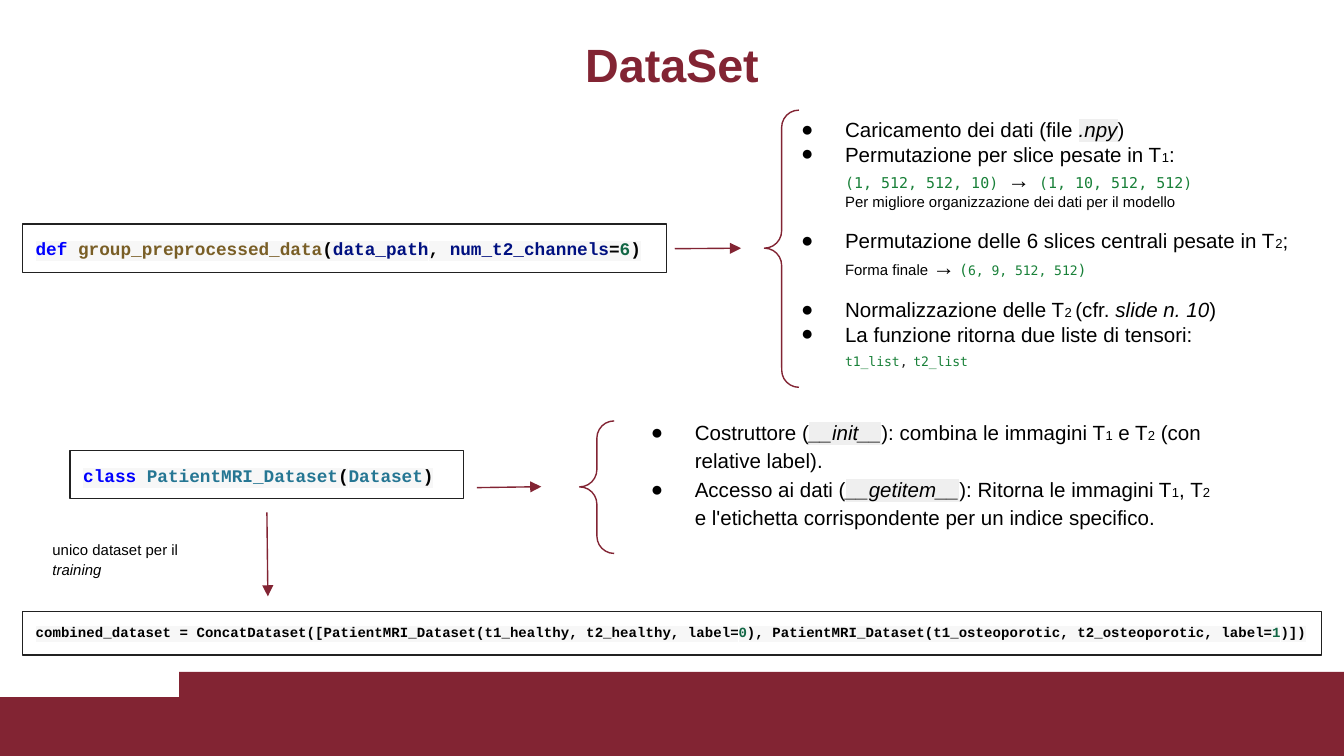
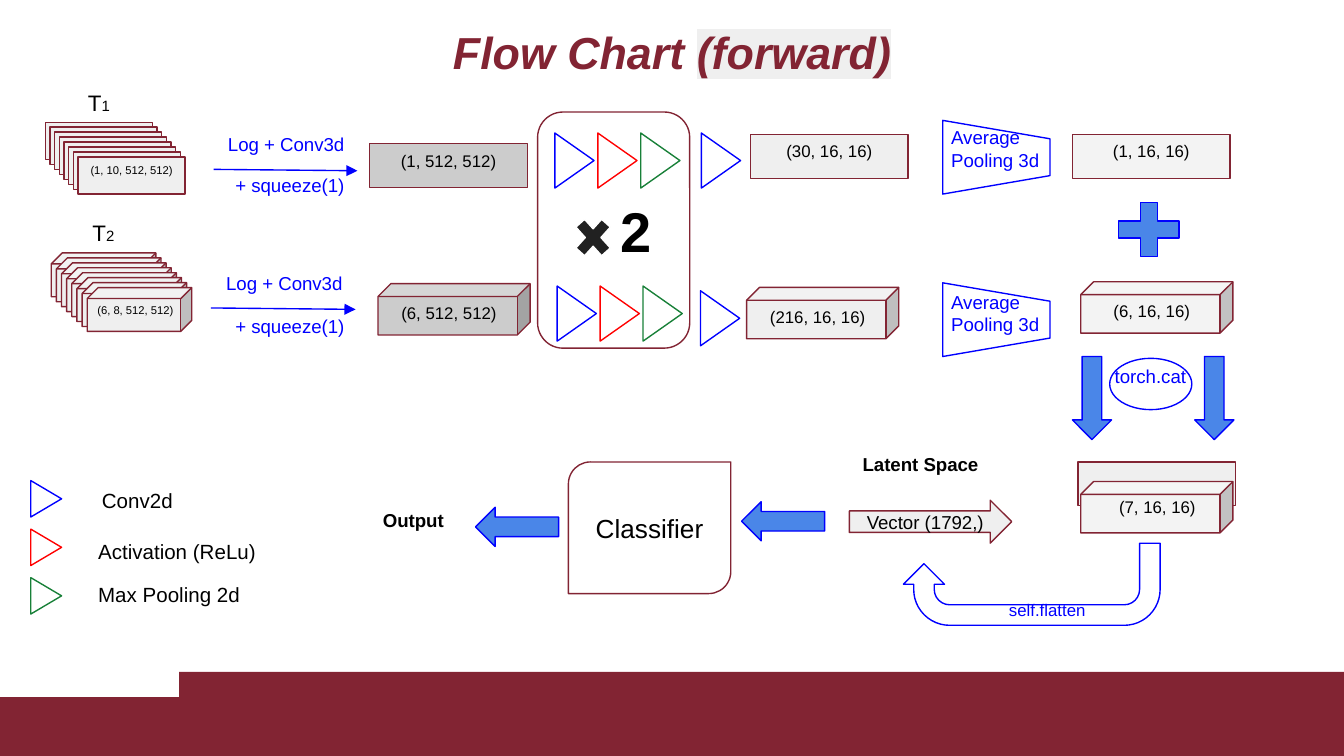
"""Build two slides on a data set and its flow chart."""
import dataclasses

import lxml.etree
import pptx
import pptx.dml.color
import pptx.enum.shapes
import pptx.enum.text
import pptx.oxml.ns
import pptx.util

Pt = pptx.util.Pt
qn = pptx.oxml.ns.qn
Kind = pptx.enum.shapes.MSO_SHAPE
Align = pptx.enum.text.PP_ALIGN
Anchor = pptx.enum.text.MSO_ANCHOR


@dataclasses.dataclass(frozen=True)
class Theme:
    wine: str = "822433"
    ink: str = "212121"
    black: str = "000000"
    white: str = "FFFFFF"
    blue: str = "0000FF"
    red: str = "FF0000"
    green: str = "188038"
    sky: str = "4A86E8"
    grey: str = "CCCCCC"
    light: str = "EFEFEF"
    pale: str = "F3F3F3"
    paper: str = "F7F7F7"
    brown: str = "795E26"
    navy: str = "001080"
    teal: str = "257693"
    number: str = "116644"
    sans: str = "Arial"
    fixed: str = "Courier New"
    mono: str = "DejaVu Sans Mono"
    tiny: float = 6
    sub: float = 7
    line: float = 7.5
    small: float = 8
    mid: float = 9
    call: float = 9.5
    label: float = 10
    body: float = 11
    large: float = 12
    block: float = 14
    head: float = 24
    title: float = 25
    huge: float = 30
    stroke: float = 0.75


T = Theme()


class Deck:
    def __init__(self):
        self.show = pptx.Presentation()
        self.show.slide_width, self.show.slide_height = Pt(720), Pt(405)
        self.slide = None

    def page(self, layout):
        self.slide = self.show.slides.add_slide(self.show.slide_layouts[layout])

    def bands(self, *boxes):
        tree = self.show.slide_master.shapes.element
        for n, box in enumerate(boxes):
            band = self.shape(Kind.RECTANGLE, box, T.wine, None)
            band.element.nvSpPr.cNvPr.set("id", str(100 + n))
            tree.insert(2 + n, band.element)

    def place(self, item, box):
        item.left, item.top, item.width, item.height = map(Pt, box)

    def frame(self, item, anchor=Anchor.TOP):
        frame = item.text_frame
        frame.word_wrap = True
        frame.auto_size = pptx.enum.text.MSO_AUTO_SIZE.NONE
        frame.vertical_anchor = anchor
        return frame

    def style(self, run, size=T.body, ink=T.black, face=T.sans, bold=False,
              slant=False, mark=None):
        font = run.font
        font.size, font.name = Pt(size), face
        font.bold, font.italic = bold, slant
        font.color.rgb = pptx.dml.color.RGBColor.from_string(ink)
        if mark:
            glow = lxml.etree.Element(qn("a:highlight"))
            lxml.etree.SubElement(glow, qn("a:srgbClr"), val=mark)
            run._r.get_or_add_rPr().find(qn("a:solidFill")).addnext(glow)

    def words(self, para, parts, align=Align.LEFT, space=1, **base):
        para.alignment, para.line_spacing = align, space
        para.space_before = para.space_after = Pt(0)
        parts = [parts] if isinstance(parts, str) else parts
        parts = [(p, {}) if isinstance(p, str) else p for p in parts]
        para.text = parts[0][0]
        for piece, _ in parts[1:]:
            para.add_run().text = piece
        for run, (_, look) in zip(para.runs, parts):
            self.style(run, **{**base, **look})

    def title(self, parts, box, **look):
        item = self.slide.shapes.title
        self.place(item, box)
        para = self.frame(item, Anchor.MIDDLE).paragraphs[0]
        self.words(para, parts, Align.CENTER, ink=T.wine, bold=True, **look)

    def list(self, slot, box, items, space=1):
        item = self.slide.placeholders[slot]
        self.place(item, box)
        frame = self.frame(item)
        for n, (dot, gap, parts) in enumerate(items):
            para = frame.paragraphs[0] if n == 0 else frame.add_paragraph()
            self.words(para, parts, space=space)
            para.space_before = Pt(gap)
            self.bullet(para, dot)

    def bullet(self, para, dot):
        props = para._p.get_or_add_pPr()
        props.set("marL", str(Pt(36)))
        props.set("indent", str(Pt(-23.5) if dot else 0))
        if not dot:
            lxml.etree.SubElement(props, qn("a:buNone"))
            return
        tint = lxml.etree.SubElement(props, qn("a:buClr"))
        lxml.etree.SubElement(tint, qn("a:srgbClr"), val=T.black)
        lxml.etree.SubElement(props, qn("a:buFont"), typeface=T.sans)
        lxml.etree.SubElement(props, qn("a:buChar"), char="●")

    def text(self, parts, box, **look):
        item = self.slide.shapes.add_textbox(*map(Pt, box))
        self.words(self.frame(item).paragraphs[0], parts, **look)

    def shape(self, kind, box, fill=None, line=T.wine, turn=0, parts=None,
              anchor=Anchor.TOP, **look):
        item = self.slide.shapes.add_shape(kind, *map(Pt, box))
        item.shadow.inherit = False
        item.rotation = turn
        for paint, tint in ((item.fill, fill), (item.line.fill, line)):
            if tint:
                paint.solid()
                paint.fore_color.rgb = pptx.dml.color.RGBColor.from_string(tint)
            else:
                paint.background()
        if line:
            item.line.width = Pt(T.stroke)
        if parts:
            self.words(self.frame(item, anchor).paragraphs[0], parts, **look)
        return item

    def arrow(self, ends, ink):
        straight = pptx.enum.shapes.MSO_CONNECTOR.STRAIGHT
        item = self.slide.shapes.add_connector(straight, *map(Pt, ends))
        item.line.width = Pt(T.stroke)
        item.line.color.rgb = pptx.dml.color.RGBColor.from_string(ink)
        props = item.element.spPr
        lxml.etree.SubElement(props.find(qn("a:ln")), qn("a:tailEnd"), type="triangle")
        lxml.etree.SubElement(props, qn("a:effectLst"))

    def snippet(self, parts, box, size=T.call):
        self.shape(Kind.RECTANGLE, box, None, T.ink, parts=parts, space=1.36,
                   size=size, face=T.fixed, bold=True, mark=T.paper)

    def brace(self, box):
        item = self.shape(Kind.LEFT_BRACE, box)
        item.adjustments[0], item.adjustments[1] = 0.5, 0.498

    def sheet(self, label, x, y, fill):
        self.shape(Kind.RECTANGLE, (x, y, 84.5, 23.5), fill, parts=label,
                   align=Align.CENTER, size=T.mid)

    def cube(self, label, x, y, fill, dx=-8, dy=6.5):
        self.shape(Kind.CUBE, (x, y, 81.5, 27.5), fill)
        self.text(label, (x + dx, y + dy, 92, 23), align=Align.CENTER, size=T.mid)

    def stack(self, kind, x, y, step, size):
        for n in range(8):
            self.shape(kind, (x + step * n, y + 2.65 * n, *size), T.light)

    def wedge(self, x, y, ink, size=(29.5, 21)):
        self.shape(Kind.ISOSCELES_TRIANGLE, (x, y, *size), None, ink, 90)

    def block(self, x, y, turn=0):
        self.shape(Kind.DOWN_ARROW, (x, y, 21, 44.5), T.sky, T.blue, turn)


def data(deck):
    sub = {"size": T.sub}
    tint = {"face": T.mono, "ink": T.green, "size": T.small}
    fine = {**tint, "size": T.sub}
    small, large = {"size": T.small}, {"size": T.large}
    slant = {"slant": True}
    mark = {"slant": True, "mark": T.light}
    blue, brown, navy, teal, number = (
        {"ink": c} for c in (T.blue, T.brown, T.navy, T.teal, T.number))

    deck.page(3)
    deck.bands((0, 373.5, 720, 31.5), (96, 360, 624, 45))
    deck.title("DataSet", (49.5, 13, 621, 42), size=T.title)
    deck.snippet([("def", blue), " ", ("group_preprocessed_data", brown), "(",
                  ("data_path", navy), ", ", ("num_t2_channels", navy), "=",
                  ("6", number), ")"], (12, 120, 345, 26))
    deck.list(1, (409.5, 59, 298, 148.5), [
        (True, 0, ["Caricamento dei dati (file ", (".npy", mark), ")"]),
        (True, 0, ["Permutazione per slice pesate in T", ("1", sub), ":"]),
        (False, 0, [("(1, 512, 512, 10) ", tint), ("→", large),
                    (" (1, 10, 512, 512)", tint)]),
        (False, 0, [("Per migliore organizzazione dei dati per il modello", small)]),
        (True, 9.25, ["Permutazione delle 6 slices centrali pesate in T", ("2", sub), ";"]),
        (False, 0, [("Forma finale ", small), ("→", large), (" ", small),
                    ("(", tint), ("6, 9, 512, 512", fine), (")", tint)]),
        (True, 9.25, ["Normalizzazione delle T", ("2 ", sub), "(cfr. ",
                      ("slide n. 10", slant), ")"]),
        (True, 0, "La funzione ritorna due liste di tensori:"),
        (False, 0, [("t1_list", fine), (",", {**fine, "ink": T.ink}), " ",
                    ("t2_list", fine)]),
    ])
    deck.brace((409.5, 59, 18.5, 148.5))
    deck.snippet([("class", blue), " ", ("PatientMRI_Dataset", teal), "(",
                  ("Dataset", teal), ")"], (37.5, 241.25, 211, 26))
    deck.snippet(["combined_dataset = ConcatDataset([PatientMRI_Dataset("
                  "t1_healthy, t2_healthy, label=", ("0", number),
                  "), PatientMRI_Dataset(t1_osteoporotic, t2_osteoporotic, label=",
                  ("1", number), ")])"], (12, 327.5, 696, 23.5), T.line)
    for ends in ((361.5, 133.25, 397, 133), (255.5, 261.25, 290, 260.75),
                 (143, 274.5, 143.5, 319.5)):
        deck.arrow(ends, T.wine)
    deck.list(2, (329, 219.5, 331, 91), [
        (True, 0, ["Costruttore (", ("__init__", mark), "): combina le immagini T",
                   ("1", sub), " e T", ("2", sub), " (con relative label)."]),
        (True, 0, ["Accesso ai dati (", ("__getitem__", mark),
                   "): Ritorna le immagini T", ("1", sub), ", T", ("2", sub),
                   " e l'etichetta corrispondente per un indice specifico."]),
    ], 1.15)
    deck.brace((310.5, 225.5, 18.5, 71))
    deck.text(["unico dataset per il ", ("training", slant)],
              (21, 284.5, 110, 26), space=1.15, size=T.small)


def flow(deck):
    mid = Align.CENTER
    note = {"ink": T.blue, "size": T.label}
    inks = (T.blue, T.red, T.green)

    deck.page(5)
    deck.title(["Flow Chart ", ("(forward)", {"mark": T.light})],
               (49.5, 8, 621, 39), size=T.head, slant=True)

    deck.stack(Kind.RECTANGLE, 24.25, 65.5, 2.5, (57.5, 20))
    deck.stack(Kind.CUBE, 27.5, 135.5, 2.75, (56, 23.5))
    for words, x, y in (("(1, 10, 512, 512)", 39, 84), ("(6, 8, 512, 512)", 41, 159)):
        deck.text(words, (x, y, 63, 20), align=mid, size=T.tiny)
    for digit, x, y in (("1", 40, 44), ("2", 42.5, 114)):
        deck.text(["T", (digit, {"size": T.small})], (x, y, 30, 20), size=T.large)

    deck.sheet("(1, 512, 512)", 198, 77, T.grey)
    deck.sheet("(30, 16, 16)", 402, 72, T.light)
    deck.sheet("(1, 16, 16)", 574.5, 72, T.pale)
    deck.cube("(6, 512, 512)", 202.5, 152, T.grey)
    deck.cube("(216, 16, 16)", 400, 154, T.light)
    deck.cube("(6, 16, 16)", 579, 151, T.pale)
    deck.shape(Kind.RECTANGLE, (577.5, 247.5, 84.5, 23.5), T.light)
    deck.cube("(7, 16, 16)", 579, 258, T.pale, -5, 4.5)

    for words, x, y in (("Log + Conv3d", 101, 67.5), ("Log + Conv3d", 100, 142),
                        ("+ squeeze(1)", 103, 89.5), ("+ squeeze(1)", 103, 165)):
        deck.text(words, (x, y, 104.5, 20), align=mid, **note)
    deck.arrow((114.5, 90.75, 191.5, 91.5), T.blue)
    deck.arrow((113, 165, 190.5, 165.75), T.blue)

    deck.shape(Kind.ROUNDED_RECTANGLE, (288, 60, 81.5, 126.5))
    for n, ink in enumerate(inks):
        deck.wedge(293 + 23 * n, 75.5, ink)
        deck.wedge(294.25 + 23 * n, 157.5, ink)
        deck.wedge(15, 259 + 26 * n, ink, (19.5, 16.5))
    deck.wedge(371.5, 75.5, T.blue)
    deck.wedge(371, 160, T.blue)
    deck.shape(Kind.MATH_MULTIPLY, (304.5, 112.5, 26.5, 29.5), T.ink, T.white)
    deck.text("2", (325.5, 101.5, 34.5, 51), size=T.huge, bold=True)
    for words, x, y in (("Conv2d", 47.5, 258), ("Activation (ReLu)", 45.5, 285),
                        ("Max Pooling 2d", 45.5, 308)):
        deck.text(words, (x, y, 111, 28))

    for y, drop in ((55.5, 8.5), (142.5, 9.5)):
        deck.shape(Kind.TRAPEZOID, (514, y, 39.5, 57.5), None, T.blue, 90)
        deck.text("Average Pooling 3d", (502.5, y + drop, 67, 34), **note)
    deck.shape(Kind.MATH_PLUS, (593.5, 103.5, 44, 39), T.sky, T.blue)
    for x, y, turn in ((574.5, 191, 0), (640, 191, 0), (409, 257, 90), (266.5, 260, 90)):
        deck.block(x, y, turn)
    deck.shape(Kind.OVAL, (594.5, 192, 44, 27.5), None, T.blue)
    deck.text("torch.cat", (587.5, 192, 57.5, 20), align=mid, **note)

    deck.shape(Kind.U_TURN_ARROW, (484, 291, 137.5, 44), None, T.blue, 180)
    deck.text("self.flatten", (517.5, 317.5, 87, 25), align=mid, ink=T.blue, size=T.mid)
    deck.shape(Kind.RIGHT_ARROW, (455, 268, 87, 23), T.light, parts="Vector (1792,)",
               anchor=Anchor.MIDDLE, align=mid, size=T.label)
    deck.shape(Kind.ROUND_2_DIAG_RECTANGLE, (304.5, 247.5, 87, 70.5),
               parts="Classifier", anchor=Anchor.MIDDLE, align=mid, size=T.block)
    deck.text("Latent Space", (455, 239, 81.5, 26.5), size=T.label, bold=True)
    deck.text("Output", (198, 269, 54, 26.5), size=T.label, bold=True)


def main():
    deck = Deck()
    data(deck)
    flow(deck)
    deck.show.save("out.pptx")


if __name__ == "__main__":
    main()
